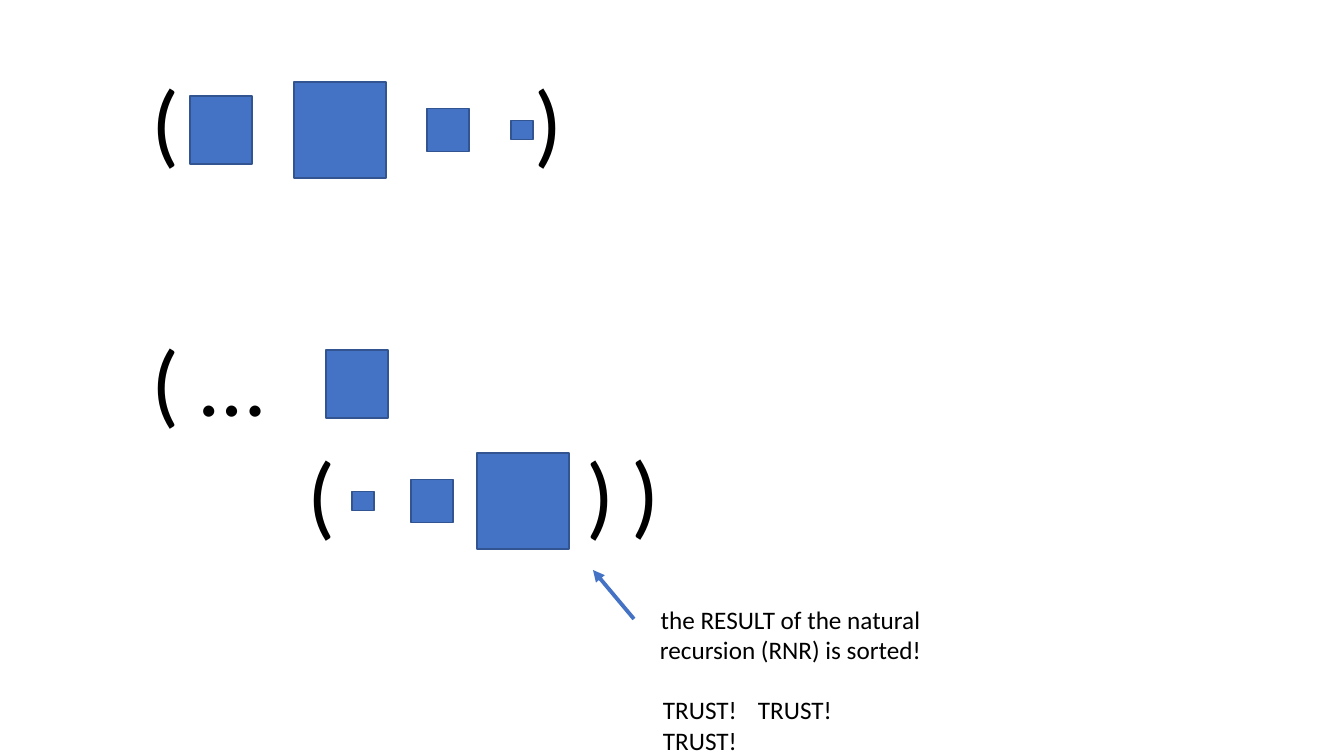
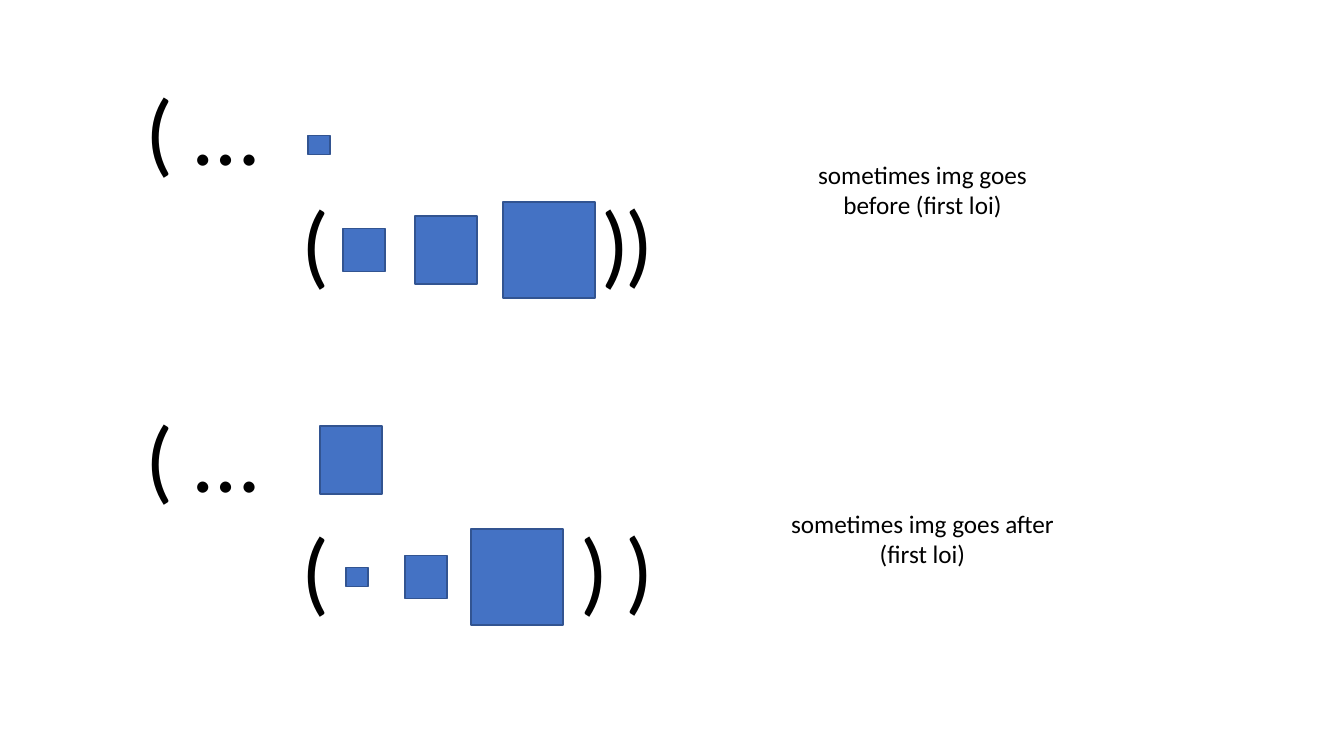
from dataclasses import dataclass

from lxml.etree import SubElement
from pptx import Presentation
from pptx.dml.color import RGBColor
from pptx.enum.shapes import MSO_CONNECTOR, MSO_SHAPE
from pptx.enum.text import MSO_AUTO_SIZE, PP_ALIGN
from pptx.oxml.ns import qn
from pptx.util import Emu, Pt

PIXEL = 914400 / 100.8


@dataclass(frozen=True)
class Theme:
    font: str = "Calibri"
    ink: RGBColor = RGBColor(0x00, 0x00, 0x00)
    square_fill: RGBColor = RGBColor(0x44, 0x72, 0xC4)
    square_line: RGBColor = RGBColor(0x32, 0x54, 0x91)
    bracket_size: Pt = Pt(66)
    note_size: Pt = Pt(18)
    outline: Pt = Pt(1)
    arrow_width: Pt = Pt(2.75)


THEME = Theme()

# Image sizes, in pixels
TINY, SMALL, MEDIUM, LARGE = (22, 19), (42, 43), (62, 68), (92, 96)


def px(value):
    return Emu(round(value * PIXEL))


def add_tabs(paragraph, positions):
    tab_list = SubElement(paragraph._p.get_or_add_pPr(), qn("a:tabLst"))
    for position in positions:
        SubElement(tab_list, qn("a:tab"), pos=str(px(position)), algn="l")


def style(paragraph, size):
    paragraph.font.name = THEME.font
    paragraph.font.size = size
    paragraph.font.color.rgb = THEME.ink


def add_text(shapes, text, left, top, width, height, size, tabs=(), align=PP_ALIGN.LEFT):
    box = shapes.add_textbox(px(left), px(top), px(width), px(height))
    frame = box.text_frame
    frame.word_wrap = True
    frame.auto_size = MSO_AUTO_SIZE.SHAPE_TO_FIT_TEXT
    paragraph = frame.paragraphs[0]
    paragraph.text = text
    paragraph.alignment = align
    if tabs:
        add_tabs(paragraph, tabs)
    style(paragraph, size)
    return frame


def add_brackets(shapes, left, top, closing):
    add_text(shapes, "(\t)", left, top, 438, 122, THEME.bracket_size, [closing])


def add_square(shapes, left, centre, size):
    width, height = size
    square = shapes.add_shape(MSO_SHAPE.RECTANGLE, px(left), px(centre - height / 2),
                              px(width), px(height))
    square.shadow.inherit = False
    square.fill.solid()
    square.fill.fore_color.rgb = THEME.square_fill
    square.line.color.rgb = THEME.square_line
    square.line.width = THEME.outline


def add_nested_list(shapes, left, top, first, rest, closing):
    """Draw ( ... first ( rest ) ); first is (offset, centre, size)."""
    add_text(shapes, "( …\v\t)", left, top, 1041, 234, THEME.bracket_size, [480])
    add_brackets(shapes, left + 156, top + 112, closing)
    offset, centre, size = first
    add_square(shapes, left + offset, top + centre, size)
    for offset, size in rest:
        add_square(shapes, left + offset, top + 182, size)


def add_note(shapes, text, left, top, height):
    return add_text(shapes, text, left, top, 283, height, THEME.note_size,
                    align=PP_ALIGN.CENTER)


def add_arrow(shapes, start, end):
    arrow = shapes.add_connector(MSO_CONNECTOR.STRAIGHT, *map(px, start + end))
    arrow.line.color.rgb = THEME.square_fill
    arrow.line.width = THEME.arrow_width
    SubElement(arrow.line._get_or_add_ln(), qn("a:tailEnd"), type="triangle")
    SubElement(arrow._element.spPr, qn("a:effectLst"))


# Medium image first, then the sorted rest
MEDIUM_FIRST = dict(first=(184, 65, MEDIUM),
                    rest=[(210, TINY), (269, SMALL), (335, LARGE)], closing=279)
# Tiny image first, then the sorted rest
TINY_FIRST = dict(first=(172, 77, TINY),
                  rest=[(207, SMALL), (279, MEDIUM), (367, LARGE)], closing=300)


def build_trust_slide(shapes):
    # Unsorted list
    add_brackets(shapes, 142, 59, 383)
    for left, size in [(190, MEDIUM), (294, LARGE), (427, SMALL), (511, TINY)]:
        add_square(shapes, left, 130, size)

    # First image with the sorted rest
    group = shapes.add_group_shape()
    add_nested_list(group.shapes, 142, 319, **MEDIUM_FIRST)

    # Note and arrow
    frame = add_note(shapes, "the RESULT of the natural recursion (RNR) is sorted!",
                     649, 599, 132)
    trust = frame.add_paragraph()
    trust.text = "\t".join(["TRUST!"] * 3)
    trust.space_before = Pt(21.6)
    trust._p.get_or_add_pPr().set("marL", str(px(4)))
    add_tabs(trust, [95, 186])
    style(trust, THEME.note_size)
    add_arrow(shapes, (634, 619), (593, 570))


def build_insert_slide(shapes):
    cases = [(68, TINY_FIRST, 154, "before"), (395, MEDIUM_FIRST, 503, "after")]
    for top, images, note_top, place in cases:
        add_nested_list(shapes, 136, top, **images)
        add_note(shapes, f"sometimes img goes {place} (first loi)", 781, note_top, 72)


def main():
    presentation = Presentation()
    presentation.slide_width, presentation.slide_height = px(1344), px(756)
    blank = presentation.slide_layouts[6]
    for build in (build_trust_slide, build_insert_slide):
        build(presentation.slides.add_slide(blank).shapes)
    presentation.save("out.pptx")


main()
